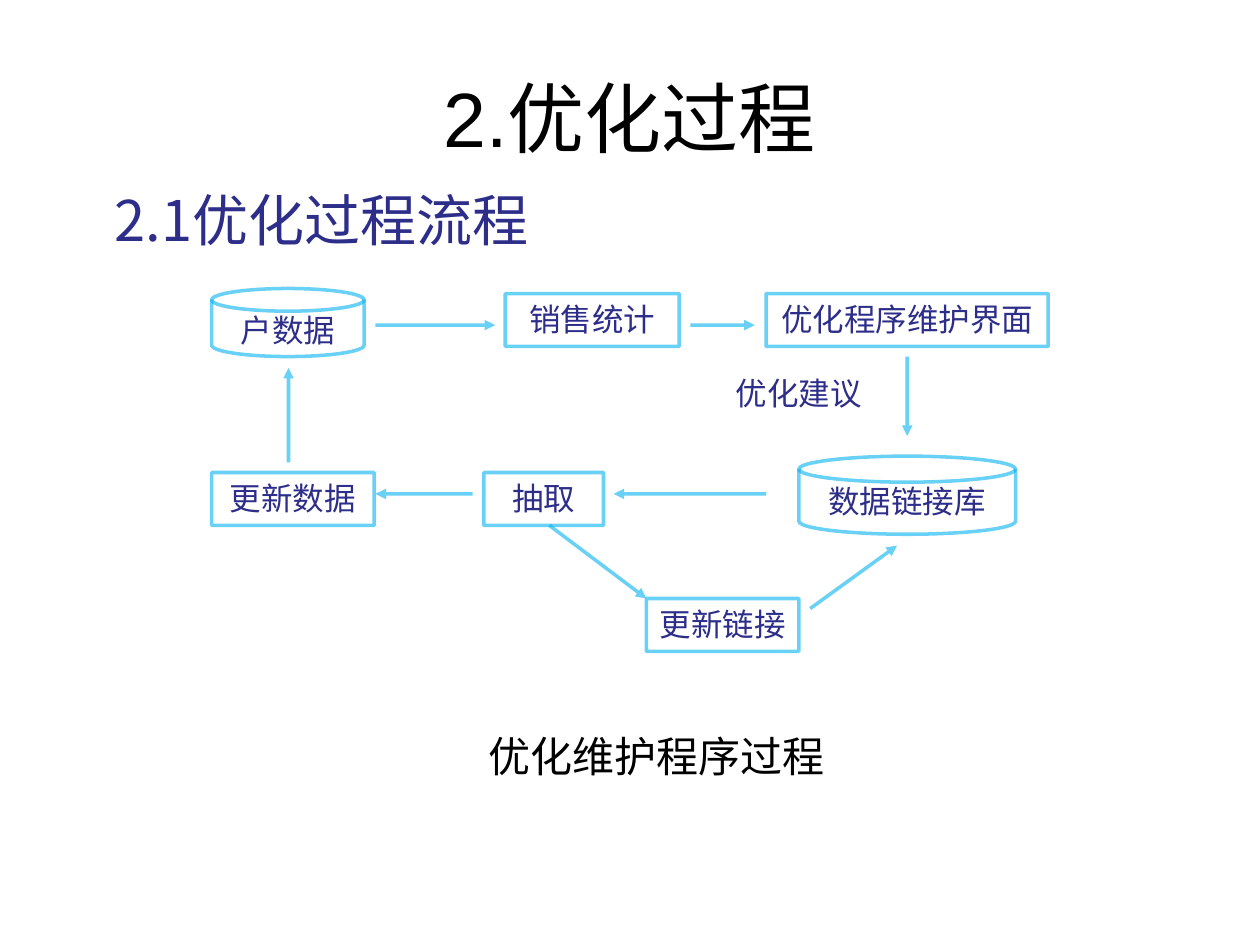
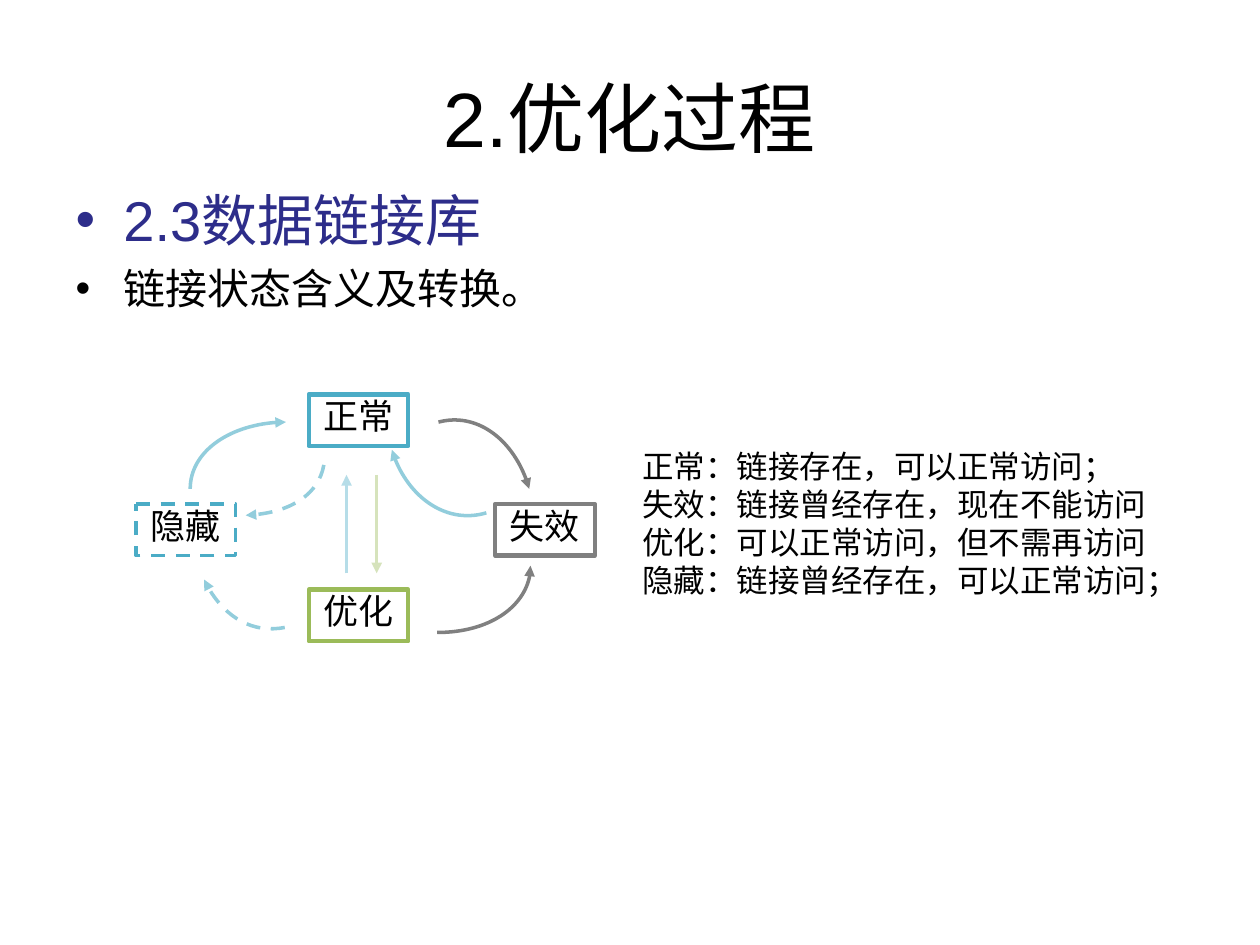
from collections import namedtuple

from lxml import etree
from pptx import Presentation
from pptx.dml.color import RGBColor
from pptx.enum.dml import MSO_LINE_DASH_STYLE as DASH
from pptx.enum.shapes import MSO_CONNECTOR, MSO_SHAPE
from pptx.enum.text import MSO_ANCHOR, MSO_AUTO_SIZE, PP_ALIGN
from pptx.oxml.ns import qn
from pptx.util import Pt

PX = 9144
LATIN, HAN = "Arial", "Noto Sans CJK SC"
COLORS = {
    "ink": "000000",
    "navy": "2D2D8A",
    "paper": "FFFFFF",
    "sky": "00B0F0",
    "teal": "4BACC6",
    "aqua": "92CDDC",
    "mist": "B6DDE8",
    "olive": "9BBB59",
    "lime": "D6E3BC",
    "gray": "808080",
}
FLOW_ALPHA = 59
TITLE = "2.优化过程"
INSETS = (10, 5, 10, 5)

Box = namedtuple("Box", "left top width height")
Stroke = namedtuple("Stroke", "color width dashed alpha", defaults=(2, False, None))
Type = namedtuple("Type", "size color latin", defaults=(HAN,))

TITLE_BOX = Box(50, 30, 900, 125)
NODE_TYPE = Type(18, "navy")
STATE_TYPE = Type(20, "ink")


def px(*values):
    """Turn px lengths into EMU."""
    return [round(value * PX) for value in values]


def rgb(name):
    """Look up a named colour."""
    return RGBColor.from_string(COLORS[name])


def within(box, left, top, width, height):
    """Move a box given relative to another onto the page."""
    return Box(box.left + left, box.top + top, width, height)


def shifted(box, points):
    """Move points given relative to a box onto the page, in EMU."""
    return [px(box.left + x, box.top + y) for x, y in points]


def place(shape, box):
    """Set position and size of a placeholder."""
    shape.left, shape.top, shape.width, shape.height = px(*box)


def add_span(para, text, kind):
    """Add one formatted run."""
    span = para.add_run()
    span.text = text
    span.font.size = Pt(kind.size)
    span.font.color.rgb = rgb(kind.color)
    span.font.name = kind.latin
    etree.SubElement(span.font._element, qn("a:ea")).set("typeface", HAN)


def set_bullet(para, color=None, indent=0):
    """Give a paragraph a round bullet and hanging indent, or no bullet."""
    props = para._p.get_or_add_pPr()
    props.set("marL", str(indent * PX))
    props.set("indent", str(-indent * PX))
    if color is None:
        etree.SubElement(props, qn("a:buNone"))
        return
    tint = etree.SubElement(props, qn("a:buClr"))
    etree.SubElement(tint, qn("a:srgbClr")).set("val", COLORS[color])
    etree.SubElement(props, qn("a:buFont")).set("typeface", LATIN)
    etree.SubElement(props, qn("a:buChar")).set("char", "•")


def set_insets(frame, insets):
    """Set the four text margins."""
    (frame.margin_left, frame.margin_top,
     frame.margin_right, frame.margin_bottom) = px(*insets)


def set_stroke(shape, stroke, arrow=False):
    """Format an outline, with an optional arrowhead at its end."""
    line = shape.line
    line.color.rgb = rgb(stroke.color)
    line.width = Pt(stroke.width)
    if stroke.dashed:
        line.dash_style = DASH.DASH
    outline = shape.element.spPr.find(qn("a:ln"))
    if stroke.alpha:
        tint = outline.find(".//" + qn("a:srgbClr"))
        etree.SubElement(tint, qn("a:alpha")).set("val", str(stroke.alpha * 1000))
    if arrow:
        etree.SubElement(outline, qn("a:tailEnd")).set("type", "triangle")


def add_node(page, box, preset, text, kind, stroke, insets, align=PP_ALIGN.CENTER):
    """Add a labelled shape."""
    shape = page.shapes.add_shape(preset, *px(*box))
    shape.shadow.inherit = False
    shape.fill.solid()
    shape.fill.fore_color.rgb = rgb("paper")
    if stroke:
        set_stroke(shape, stroke)
    else:
        shape.line.fill.background()
    frame = shape.text_frame
    frame.word_wrap = True
    frame.vertical_anchor = MSO_ANCHOR.TOP
    set_insets(frame, insets)
    para = frame.paragraphs[0]
    para.alignment = align
    add_span(para, text, kind)


def add_arrow(page, box, points, stroke):
    """Add a straight arrow between two points."""
    start, end = shifted(box, points)
    arrow = page.shapes.add_connector(MSO_CONNECTOR.STRAIGHT, *start, *end)
    set_stroke(arrow, stroke, arrow=True)
    etree.SubElement(arrow.element.spPr, qn("a:effectLst"))


def add_curve(page, box, points, stroke):
    """Add a curved arrow from a start, two control points and an end."""
    start, *others = shifted(box, points)
    builder = page.shapes.build_freeform(*start)
    builder.add_line_segments(others, close=False)
    curve = builder.convert_to_shape()
    path = curve.element.spPr.find(".//" + qn("a:path"))
    bend = etree.SubElement(path, qn("a:cubicBezTo"))
    for segment in path.findall(qn("a:lnTo")):
        bend.append(segment[0])
        path.remove(segment)
    curve.shadow.inherit = False
    curve.fill.background()
    set_stroke(curve, stroke, arrow=True)


def add_text(page, box, lines, kind, wrap=True):
    """Add a text box with one paragraph a line."""
    frame = page.shapes.add_textbox(*px(*box)).text_frame
    frame.word_wrap = wrap
    frame.auto_size = MSO_AUTO_SIZE.SHAPE_TO_FIT_TEXT
    set_insets(frame, INSETS)
    for index, text in enumerate(lines):
        para = frame.add_paragraph() if index else frame.paragraphs[0]
        add_span(para, text, kind)


def add_page(deck, body_box):
    """Add a titled page and return it with its body text frame."""
    page = deck.slides.add_slide(deck.slide_layouts[1])
    title, body = page.shapes.title, page.placeholders[1]
    place(title, TITLE_BOX)
    place(body, body_box)
    for shape in (title, body):
        shape.text_frame.auto_size = MSO_AUTO_SIZE.NONE
    para = title.text_frame.paragraphs[0]
    para.alignment = PP_ALIGN.CENTER
    add_span(para, TITLE, Type(44, "ink", LATIN))
    return page, body.text_frame


def draw_flow(page, box):
    """Draw the optimisation flow chart."""
    stroke = Stroke("sky", alpha=FLOW_ALPHA)
    steps = [
        ("销售统计", 233, 4, 138),
        ("优化程序维护界面", 440, 4, 224),
        ("抽取", 216, 146, 95),
        ("更新数据", 0, 146, 129),
        ("更新链接", 345, 246, 121),
    ]
    for text, left, top, width in steps:
        add_node(page, within(box, left, top, width, 42), MSO_SHAPE.RECTANGLE,
                 text, NODE_TYPE, stroke, (0, 5, 0, 5))
    stores = [
        ("户数据", (0, 0, 121, 54), 0),
        ("数据链接库", (466, 133, 172, 62), 10),
    ]
    for text, area, side in stores:
        add_node(page, within(box, *area), MSO_SHAPE.FLOWCHART_MAGNETIC_DISK,
                 text, NODE_TYPE, stroke, (side, 0, side, 0))
    add_node(page, within(box, 406, 63, 138, 32), MSO_SHAPE.RECTANGLE,
             "优化建议", NODE_TYPE, None, INSETS, PP_ALIGN.JUSTIFY)
    arrows = [
        ((130, 29), (225, 29)),
        ((380, 29), (431, 29)),
        ((552, 54), (552, 117)),
        ((440, 163), (319, 163)),
        ((207, 163), (130, 163)),
        ((61, 138), (61, 63)),
        ((268, 188), (345, 246)),
        ((475, 254), (544, 204)),
    ]
    for points in arrows:
        add_arrow(page, box, points, stroke)


def draw_states(page, box):
    """Draw the link states and the changes between them."""
    states = [
        ("正常", 137, 0, Stroke("teal", 2.5)),
        ("隐藏", 0, 87, Stroke("teal", dashed=True)),
        ("失效", 285, 87, Stroke("gray", 2.5)),
        ("优化", 137, 155, Stroke("olive", 2.5)),
    ]
    for text, left, top, stroke in states:
        add_node(page, within(box, left, top, 79, 41), MSO_SHAPE.FLOWCHART_PROCESS,
                 text, STATE_TYPE, stroke, (10, 0, 10, 5))
    solid, dashed, gray = Stroke("aqua"), Stroke("aqua", dashed=True), Stroke("gray")
    curves = [
        (solid, (43, 75), (43, 46), (77, 22), (119, 22)),
        (dashed, (149, 56), (145, 79), (120, 95), (87, 96)),
        (gray, (240, 22), (270, 14), (302, 38), (312, 75)),
        (solid, (278, 94), (248, 103), (214, 81), (203, 44)),
        (dashed, (118, 185), (93, 190), (67, 175), (54, 147)),
        (gray, (239, 189), (280, 189), (314, 165), (313, 136)),
    ]
    for stroke, *points in curves:
        add_curve(page, box, points, stroke)
    add_arrow(page, box, [(191, 64), (191, 142)], Stroke("lime"))
    add_arrow(page, box, [(167, 142), (167, 64)], Stroke("mist"))


def build_flow_page(deck):
    """Build the page on the optimisation flow."""
    page, body = add_page(deck, Box(92, 575, 858, 75))
    para = body.paragraphs[0]
    set_bullet(para)
    para.alignment = PP_ALIGN.CENTER
    para.space_before = Pt(0)
    add_span(para, "优化维护程序过程", Type(24, "ink", LATIN))
    draw_flow(page, Box(168, 229, 664, 288))
    add_text(page, Box(81, 142, 378, 64), ["2.1优化过程流程"],
             Type(32, "navy"), wrap=False)


def build_states_page(deck):
    """Build the page on link states."""
    page, body = add_page(deck, Box(50, 142, 900, 567))
    heading, note = body.paragraphs[0], body.add_paragraph()
    for para, color, gap in ((heading, "navy", 0), (note, "ink", 6)):
        set_bullet(para, color, 38)
        para.space_before = Pt(gap)
    add_span(heading, "2.3", Type(32, "navy", LATIN))
    add_span(heading, "数据链接库", Type(32, "navy"))
    add_span(note, "链接状态含义及转换。", Type(24, "ink"))
    draw_states(page, Box(108, 313, 364, 196))
    meanings = [
        "正常：链接存在，可以正常访问；",
        "失效：链接曾经存在，现在不能访问",
        "优化：可以正常访问，但不需再访问",
        "隐藏：链接曾经存在，可以正常访问；",
    ]
    add_text(page, Box(500, 350, 433, 130), meanings, Type(18, "ink"))


def main():
    """Build and save the deck."""
    deck = Presentation()
    deck.slide_width, deck.slide_height = px(1000, 750)
    build_flow_page(deck)
    build_states_page(deck)
    deck.save("out.pptx")


if __name__ == "__main__":
    main()
